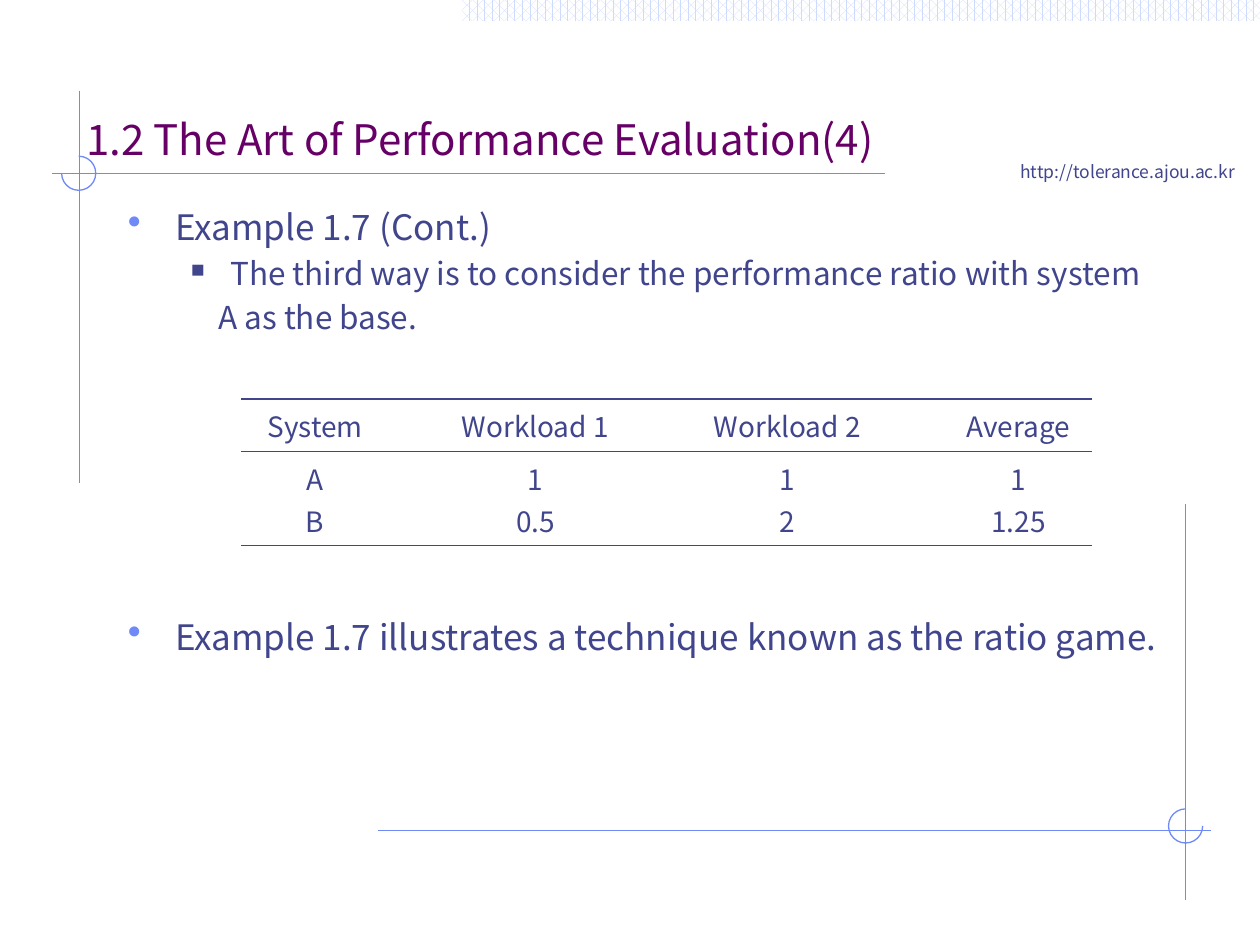
from dataclasses import dataclass

from lxml import etree
from pptx import Presentation
from pptx.dml.color import RGBColor
from pptx.enum import dml, shapes, text
from pptx.oxml import ns
from pptx.util import Pt


@dataclass(frozen=True)
class Theme:
    font: str = "Noto Sans CJK KR"
    title: str = "660066"
    ink: str = "40458C"
    accent: str = "6F89F7"
    pattern: str = "CFDBFD"
    paper: str = "FFFFFF"
    title_size: float = 24
    bullet_size: float = 20
    detail_size: float = 18
    table_size: float = 16
    link_size: float = 10
    line_width: float = 0.75


THEME = Theme()
ARC_SIZE = 19.5


def rgb(color):
    return RGBColor.from_string(color)


def add_xml(parent, tag, **attributes):
    return etree.SubElement(parent, ns.qn(tag), attributes)


def format_runs(paragraph, size, color=THEME.ink):
    for run in paragraph.runs:
        run.font.name = THEME.font
        run.font.size = Pt(size)
        run.font.bold = False
        run.font.color.rgb = rgb(color)


def add_line(slide, x1, y1, x2, y2):
    line = slide.shapes.add_connector(
        shapes.MSO_CONNECTOR.STRAIGHT, Pt(x1), Pt(y1), Pt(x2), Pt(y2))
    line.line.color.rgb = rgb(THEME.accent)
    line.line.width = Pt(THEME.line_width)
    add_xml(line._element.spPr, "a:effectLst")


def add_text_box(slide, box, wrap=True):
    frame = slide.shapes.add_textbox(*map(Pt, box)).text_frame
    frame.word_wrap = wrap
    return frame


def add_crosshair(slide, box, cross, arc_center, angles):
    """Cross two lines spanning the box and circle them with an open arc."""
    left, top, width, height = box
    x, y = cross
    add_line(slide, left, y, left + width, y)
    add_line(slide, x, top, x, top + height)
    arc_left, arc_top = (c - ARC_SIZE / 2 for c in arc_center)
    arc = slide.shapes.add_shape(
        shapes.MSO_SHAPE.ARC, Pt(arc_left), Pt(arc_top), Pt(ARC_SIZE), Pt(ARC_SIZE))
    for index, angle in enumerate(angles):
        arc.adjustments[index] = angle * 0.6  # 60000ths of a degree / 100000
    arc.shadow.inherit = False
    arc.fill.background()
    arc.line.color.rgb = rgb(THEME.accent)
    arc.line.width = Pt(THEME.line_width)


def add_band(slide, box):
    band = slide.shapes.add_shape(shapes.MSO_SHAPE.RECTANGLE, *map(Pt, box))
    band.shadow.inherit = False
    band.line.fill.background()
    band.fill.patterned()
    band.fill.pattern = dml.MSO_PATTERN.PERCENT_60
    band.fill.fore_color.rgb = rgb(THEME.pattern)
    band.fill.back_color.rgb = rgb(THEME.paper)


def add_link(slide, box):
    paragraph = add_text_box(slide, box, wrap=False).paragraphs[0]
    paragraph.text = "http://tolerance.ajou.ac.kr"
    format_runs(paragraph, THEME.link_size)


def set_title(slide, box, wording):
    title = slide.shapes.title
    title.left, title.top, title.width, title.height = map(Pt, box)
    frame = title.text_frame
    frame.text = wording
    frame.auto_size = text.MSO_AUTO_SIZE.NONE
    frame.vertical_anchor = text.MSO_ANCHOR.BOTTOM
    frame.paragraphs[0].alignment = text.PP_ALIGN.LEFT
    format_runs(frame.paragraphs[0], THEME.title_size, THEME.title)


# Paragraph kinds: size, left margin, first-line indent, bullet (mark, colour, percent)
LEVELS = {
    "bullet": (THEME.bullet_size, 27, -27, ("•", THEME.accent, 110)),
    "detail": (THEME.detail_size, 58.5, -22.5, ("■", THEME.ink, 60)),
    "continued": (THEME.detail_size, 51.75, 0, None),
}


def add_bullets(slide, box, items):
    frame = add_text_box(slide, box)
    for index, (kind, wording) in enumerate(items):
        size, margin, indent, bullet = LEVELS[kind]
        paragraph = frame.add_paragraph() if index else frame.paragraphs[0]
        paragraph.text = wording
        if index:
            paragraph.space_before = Pt(size * 0.2)
        properties = paragraph._p.get_or_add_pPr()
        properties.set("marL", str(Pt(margin)))
        properties.set("indent", str(Pt(indent)))
        if bullet:
            mark, color, percent = bullet
            add_xml(add_xml(properties, "a:buClr"), "a:srgbClr", val=color)
            add_xml(properties, "a:buSzPct", val=str(percent * 1000))
            add_xml(properties, "a:buChar", char=mark)
        else:
            add_xml(properties, "a:buNone")
        format_runs(paragraph, size)


def set_borders(cell, ruled_sides):
    properties = cell._tc.get_or_add_tcPr()
    for side in "LRTB":
        border = add_xml(properties, f"a:ln{side}", w=str(Pt(THEME.line_width)))
        if side in ruled_sides:
            add_xml(add_xml(border, "a:solidFill"), "a:srgbClr", val=THEME.ink)
        else:
            add_xml(border, "a:noFill")


def add_ratio_table(slide, box, rows, widths, heights):
    table = slide.shapes.add_table(len(rows), len(widths), *map(Pt, box)).table
    table.first_row = table.horz_banding = False
    for column, width in zip(table.columns, widths):
        column.width = Pt(width)
    for row, height in zip(table.rows, heights):
        row.height = Pt(height)
    rules = ["TB", "T", "B"]  # above and below the header, below the last row
    for r, values in enumerate(rows):
        for c, value in enumerate(values):
            cell = table.cell(r, c)
            set_borders(cell, rules[r])
            cell.fill.background()
            cell.margin_top = Pt(3.6)
            cell.margin_bottom = cell.margin_right = Pt(0)
            # The last column is centred under a heading set toward the right
            cell.margin_left = Pt(30 if c == len(values) - 1 else 0)
            cell.vertical_anchor = text.MSO_ANCHOR.TOP
            paragraph = cell.text_frame.paragraphs[0]
            paragraph.text = value
            paragraph.alignment = text.PP_ALIGN.CENTER
            format_runs(paragraph, THEME.table_size)


def main():
    presentation = Presentation()
    presentation.slide_width, presentation.slide_height = Pt(720), Pt(540)
    slide = presentation.slides.add_slide(presentation.slide_layouts[5])

    # Decoration
    add_band(slide, (264, 0, 456, 12))
    add_link(slide, (576, 88.5, 137, 19.5))
    add_crosshair(slide, (216, 288, 476, 226.5), (677.5, 474.5), (677.5, 472), (0, 270))
    add_crosshair(slide, (30, 51.75, 476, 224), (45.25, 99), (45, 99), (270, 180))

    # Content
    set_title(slide, (42, 49, 564, 48), "1.2 The Art of Performance Evaluation(4)")
    add_bullets(slide, (66, 114, 612, 88.5), [
        ("bullet", "Example 1.7 (Cont.)"),
        ("detail", "The third way is to consider the performance ratio with system"),
        ("continued", "A as the base."),
    ])
    add_ratio_table(slide, (138, 228, 486, 84), [
        ("System", "Workload 1", "Workload 2", "Average"),
        ("A", "1", "1", "1"),
        ("B", "0.5", "2", "1.25"),
    ], widths=(84, 168, 120, 114), heights=(30, 24, 30))
    add_bullets(slide, (66, 348, 612, 84), [
        ("bullet", "Example 1.7 illustrates a technique known as the ratio game."),
    ])

    presentation.save("out.pptx")


if __name__ == "__main__":
    main()
